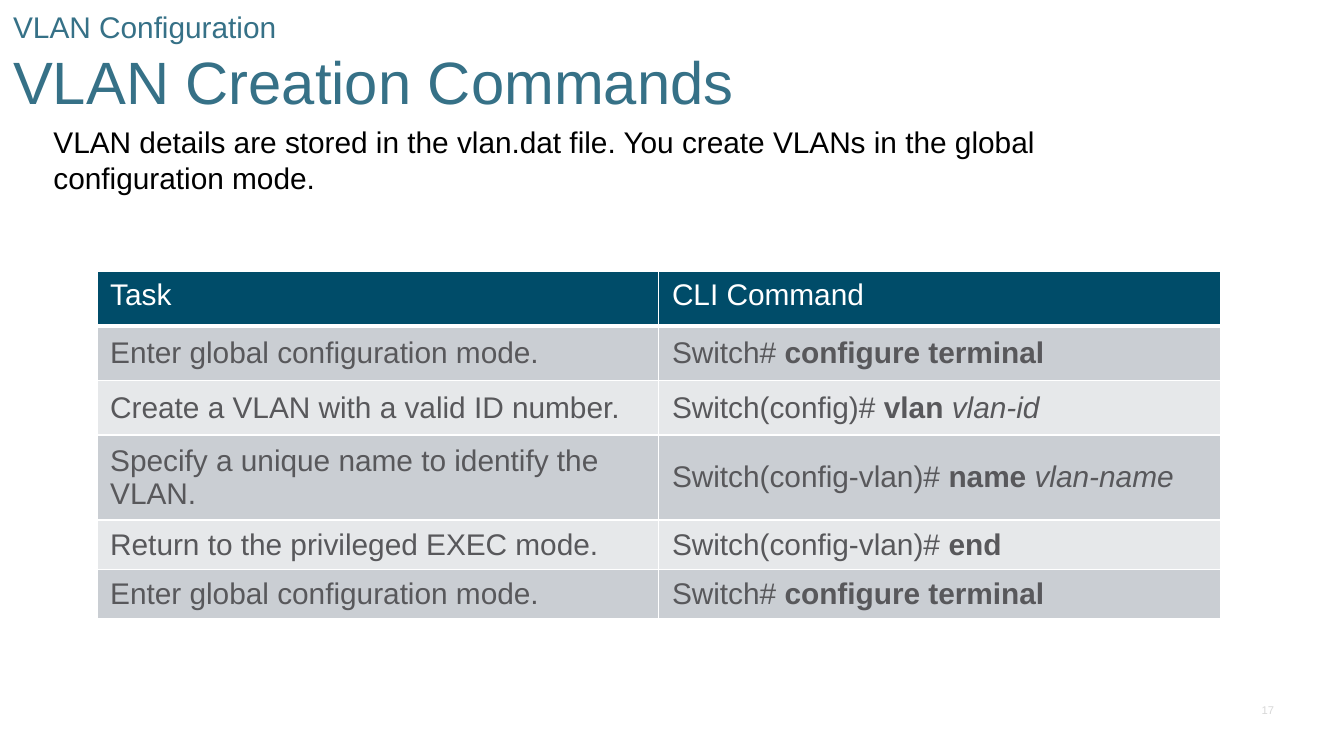
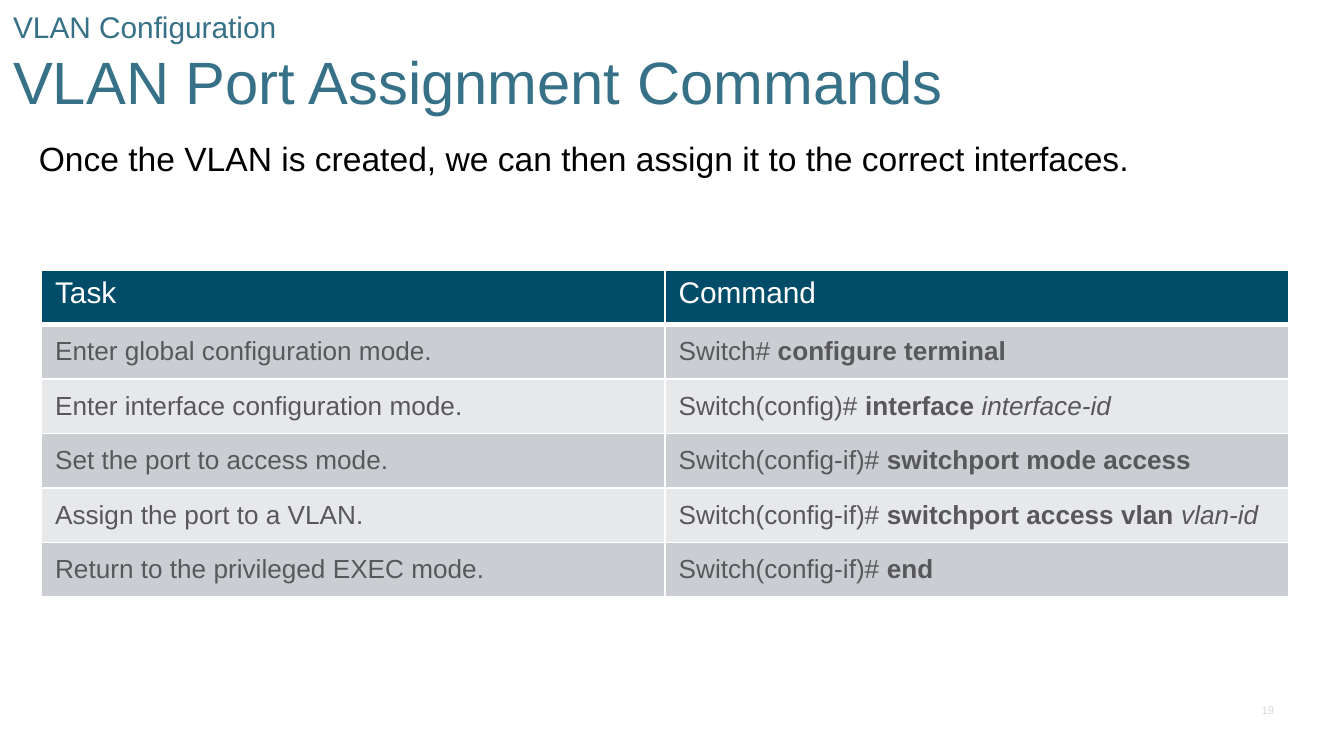
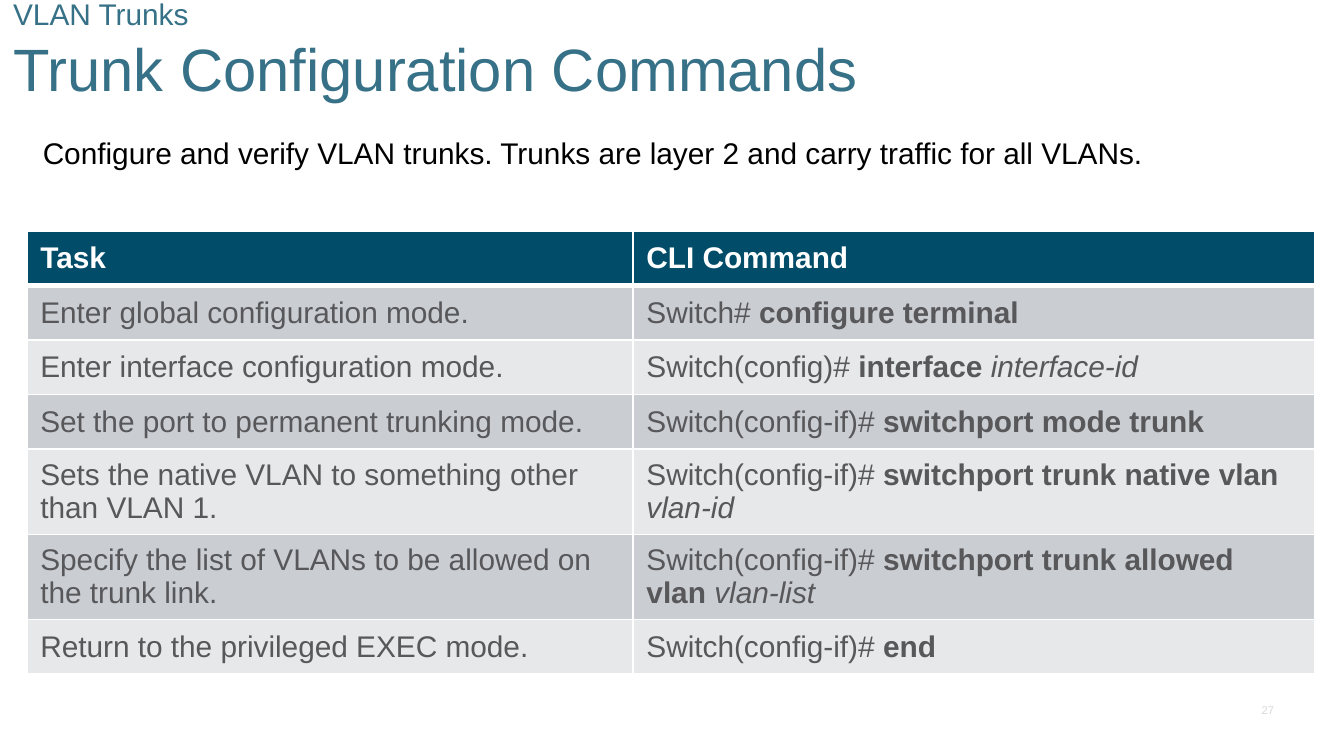
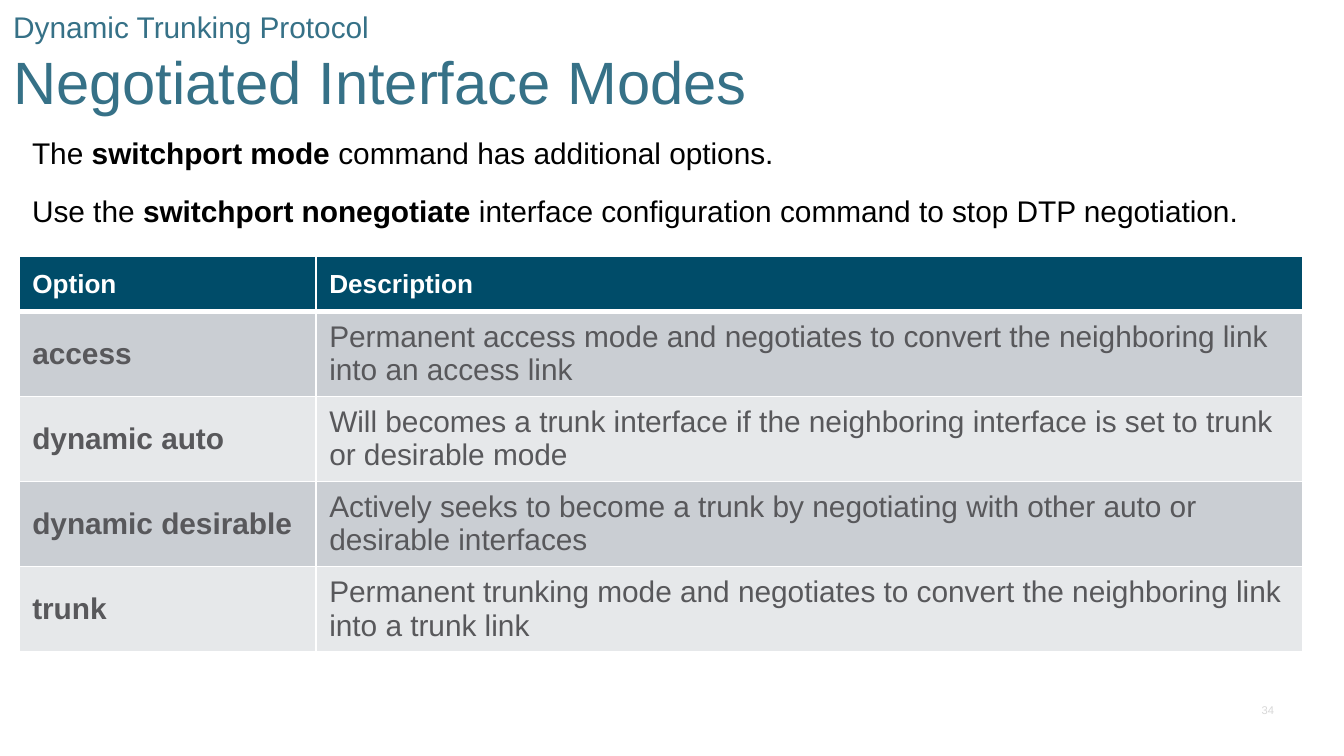
from dataclasses import dataclass

from lxml.etree import SubElement
from pptx import Presentation
from pptx.dml.color import RGBColor
from pptx.enum.text import MSO_ANCHOR, PP_ALIGN
from pptx.oxml.ns import qn
from pptx.util import Inches, Pt

FONT = "Arial"
TITLE_COLOR = "367187"
BODY_COLOR = "000000"
NUMBER_COLOR = "D8D8D8"
HEADER_FILL = "004C69"
HEADER_TEXT = "FFFFFF"
CELL_TEXT = "58585B"
BAND_FILLS = ("CACED3", "E6E8EA")
BORDER_COLOR = "FFFFFF"
ROW_HEIGHT = 7.3 / 18


@dataclass(frozen=True)
class Span:
    text: str
    bold: bool = False
    italic: bool = False


Line = tuple[Span, ...]
Row = tuple[Line, Line]


@dataclass(frozen=True)
class Box:
    left: float
    top: float
    width: float
    height: float


@dataclass(frozen=True)
class Intro:
    box: Box
    lines: tuple[Line, ...]
    size: int = 16
    indent: float = 0


@dataclass(frozen=True)
class Grid:
    left: float
    top: float
    columns: tuple[float, float]
    headings: tuple[str, str]
    rows: tuple[Row, ...]
    heading_size: int = 16
    text_size: int = 16
    heading_bold: bool = True
    heading_anchor: MSO_ANCHOR = MSO_ANCHOR.MIDDLE
    short_rows: int = 0


@dataclass(frozen=True)
class Lesson:
    number: int
    topic: str
    title: str
    intro: Intro
    grid: Grid
    title_box: Box = Box(0, 0.05, 10, 0.83)


def plain(text: str) -> Line:
    return (Span(text),)


def step(task: str, prompt: str, keyword: str, argument: str = "") -> Row:
    command = [Span(f"Switch{prompt}# ")]
    if argument:
        command += [Span(f"{keyword} ", bold=True), Span(argument, italic=True)]
    else:
        command.append(Span(keyword, bold=True))
    return plain(task), tuple(command)


def option(name: str, description: str) -> Row:
    return (Span(name, bold=True),), plain(description)


def rgb(color: str) -> RGBColor:
    return RGBColor.from_string(color)


def add_spans(paragraph, spans: Line, size: float, color: str) -> None:
    for span in spans:
        run = paragraph.add_run()
        run.text = span.text
        run.font.name = FONT
        run.font.size = Pt(size)
        run.font.bold = span.bold
        run.font.italic = span.italic
        run.font.color.rgb = rgb(color)


def add_frame(slide, box: Box, anchor: MSO_ANCHOR, margins: tuple[float, float, float]):
    frame = slide.shapes.add_textbox(
        Inches(box.left), Inches(box.top), Inches(box.width), Inches(box.height)
    ).text_frame
    left, right, vertical = margins
    frame.word_wrap = True
    frame.vertical_anchor = anchor
    frame.margin_left, frame.margin_right = Inches(left), Inches(right)
    frame.margin_top = frame.margin_bottom = Inches(vertical)
    return frame


def add_title(slide, lesson: Lesson) -> None:
    frame = add_frame(slide, lesson.title_box, MSO_ANCHOR.MIDDLE, (0.1, 0.1, 0.05))
    paragraph = frame.paragraphs[0]
    add_spans(paragraph, plain(lesson.topic), 16, TITLE_COLOR)
    paragraph.add_line_break()
    add_spans(paragraph, plain(lesson.title), 32, TITLE_COLOR)


def add_intro(slide, intro: Intro) -> None:
    frame = add_frame(slide, intro.box, MSO_ANCHOR.TOP, (0.1, 0.2, 0.05))
    for index, line in enumerate(intro.lines):
        paragraph = frame.add_paragraph() if index else frame.paragraphs[0]
        if intro.indent:
            properties = paragraph._p.get_or_add_pPr()
            properties.set("marL", str(Inches(intro.indent)))
            properties.set("indent", "0")
        if index:
            paragraph.space_before = Pt(12)
        add_spans(paragraph, line, intro.size, BODY_COLOR)


def add_number(slide, number: int) -> None:
    frame = add_frame(slide, Box(9.31, 5.19, 0.24, 0.17), MSO_ANCHOR.BOTTOM, (0.07, 0.07, 0.03))
    paragraph = frame.paragraphs[0]
    paragraph.alignment = PP_ALIGN.RIGHT
    add_spans(paragraph, plain(str(number)), 6, NUMBER_COLOR)


def set_borders(cell, top: float, bottom: float) -> None:
    properties = cell._tc.get_or_add_tcPr()
    edges = (("lnL", 1), ("lnR", 1), ("lnT", top), ("lnB", bottom))
    for position, (edge, width) in enumerate(edges):
        line = SubElement(properties, qn(f"a:{edge}"), w=str(Pt(width)))
        fill = SubElement(line, qn("a:solidFill"))
        SubElement(fill, qn("a:srgbClr"), val=BORDER_COLOR)
        properties.insert(position, line)


def add_grid(slide, grid: Grid) -> None:
    headings = tuple((Span(text, bold=grid.heading_bold),) for text in grid.headings)
    rows = (headings, *grid.rows)
    table = slide.shapes.add_table(
        len(rows), len(grid.columns), Inches(grid.left), Inches(grid.top),
        Inches(sum(grid.columns)), Inches(ROW_HEIGHT * len(rows)),
    ).table
    table.first_row = table.horz_banding = False
    for column, width in zip(table.columns, grid.columns):
        column.width = Inches(width)
    for index, row in enumerate(rows):
        is_short = index >= len(rows) - grid.short_rows
        table.rows[index].height = Inches(0.2 if is_short else ROW_HEIGHT)
        is_heading = index == 0
        size = grid.heading_size if is_heading else grid.text_size
        color = HEADER_TEXT if is_heading else CELL_TEXT
        for column, spans in enumerate(row):
            cell = table.cell(index, column)
            cell.vertical_anchor = grid.heading_anchor if is_heading else MSO_ANCHOR.MIDDLE
            cell.fill.solid()
            cell.fill.fore_color.rgb = rgb(HEADER_FILL if is_heading else BAND_FILLS[(index - 1) % 2])
            set_borders(cell, 3 if index == 1 else 1, 3 if is_heading else 1)
            paragraph = cell.text_frame.paragraphs[0]
            add_spans(paragraph, spans, size, color)
            SubElement(paragraph._p, qn("a:endParaRPr"), sz=str(size * 100))


ENTER_GLOBAL = step("Enter global configuration mode.", "", "configure terminal")
ENTER_INTERFACE = step(
    "Enter interface configuration mode.", "(config)", "interface", "interface-id"
)
LEAVE = "Return to the privileged EXEC mode."
LEAVE_INTERFACE = step(LEAVE, "(config-if)", "end")

LESSONS = (
    Lesson(
        17, "VLAN Configuration", "VLAN Creation Commands",
        Intro(
            Box(0.14, 0.87, 8.94, 0.75),
            (plain("VLAN details are stored in the vlan.dat file. "
                   "You create VLANs in the global configuration mode."),),
            indent=0.16,
        ),
        Grid(
            0.72, 2.02, (4.18, 4.18), ("Task", "CLI Command"),
            (
                ENTER_GLOBAL,
                step("Create a VLAN with a valid ID number.", "(config)", "vlan", "vlan-id"),
                step("Specify a unique name to identify the VLAN.",
                     "(config-vlan)", "name", "vlan-name"),
                step(LEAVE, "(config-vlan)", "end"),
                ENTER_GLOBAL,
            ),
            heading_bold=False, heading_anchor=MSO_ANCHOR.TOP, short_rows=2,
        ),
    ),
    Lesson(
        19, "VLAN Configuration", "VLAN Port Assignment Commands",
        Intro(
            Box(0.19, 0.98, 9.39, 0.65),
            (plain("Once the VLAN is created, we can then assign it to the correct interfaces."),),
            size=18,
        ),
        Grid(
            0.31, 2.01, (4.64, 4.64), ("Task", "Command"),
            (
                ENTER_GLOBAL,
                ENTER_INTERFACE,
                step("Set the port to access mode.", "(config-if)", "switchport mode access"),
                step("Assign the port to a VLAN.",
                     "(config-if)", "switchport access vlan", "vlan-id"),
                LEAVE_INTERFACE,
            ),
            text_size=14, heading_bold=False, heading_anchor=MSO_ANCHOR.TOP,
        ),
    ),
    Lesson(
        27, "VLAN Trunks", "Trunk Configuration Commands",
        Intro(
            Box(0.22, 0.95, 9.63, 0.62),
            (plain("Configure and verify VLAN trunks. "
                   "Trunks are layer 2 and carry traffic for all VLANs."),),
        ),
        Grid(
            0.2, 1.72, (4.51, 5.07), ("Task", "CLI Command"),
            (
                ENTER_GLOBAL,
                ENTER_INTERFACE,
                step("Set the port to permanent trunking mode.",
                     "(config-if)", "switchport mode trunk"),
                step("Sets the native VLAN to something other than VLAN 1.",
                     "(config-if)", "switchport trunk native vlan", "vlan-id"),
                step("Specify the list of VLANs to be allowed on the trunk link.",
                     "(config-if)", "switchport trunk allowed vlan", "vlan-list"),
                LEAVE_INTERFACE,
            ),
        ),
        title_box=Box(0, 0, 10, 0.74),
    ),
    Lesson(
        34, "Dynamic Trunking Protocol", "Negotiated Interface Modes",
        Intro(
            Box(0.14, 0.95, 9.68, 0.88),
            (
                (Span("The "), Span("switchport mode", bold=True),
                 Span(" command has additional options.")),
                (Span("Use the "), Span("switchport nonegotiate", bold=True),
                 Span(" interface configuration command to stop DTP negotiation.")),
            ),
        ),
        Grid(
            0.14, 1.91, (2.21, 7.34), ("Option", "Description"),
            (
                option("access", "Permanent access mode and negotiates to convert "
                       "the neighboring link into an access link"),
                option("dynamic auto", "Will becomes a trunk interface if the neighboring "
                       "interface is set to trunk or desirable mode"),
                option("dynamic desirable", "Actively seeks to become a trunk by negotiating "
                       "with other auto or desirable interfaces"),
                option("trunk", "Permanent trunking mode and negotiates to convert "
                       "the neighboring link into a trunk link"),
            ),
            heading_size=14,
        ),
    ),
)


def main() -> None:
    deck = Presentation()
    deck.slide_width = Inches(10)
    deck.slide_height = Inches(10 * 9 / 16)
    for lesson in LESSONS:
        slide = deck.slides.add_slide(deck.slide_layouts[6])
        add_number(slide, lesson.number)
        add_title(slide, lesson)
        add_intro(slide, lesson.intro)
        add_grid(slide, lesson.grid)
    deck.save("out.pptx")


if __name__ == "__main__":
    main()
